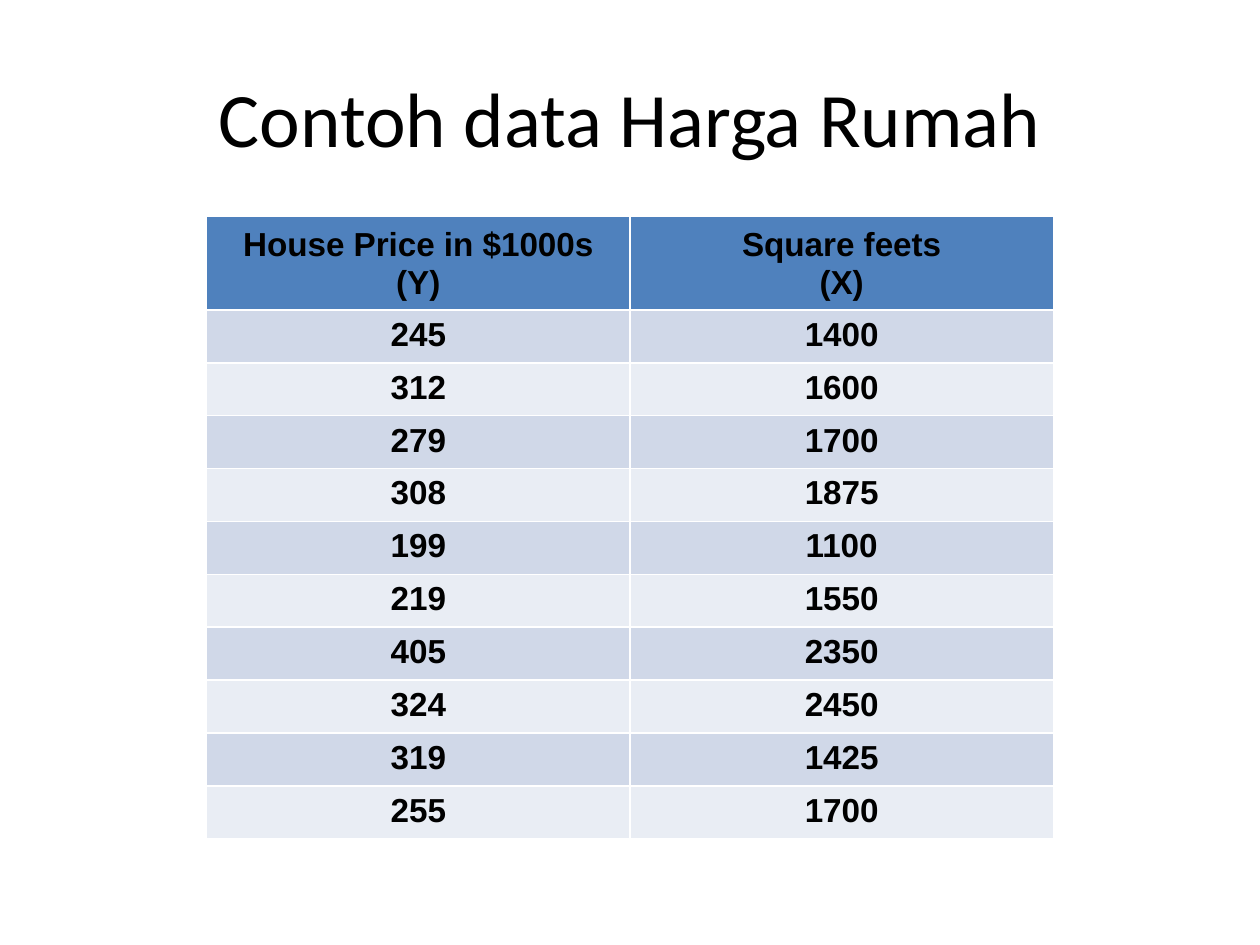
from typing import NamedTuple

from lxml import etree
from pptx import Presentation
from pptx.dml.color import RGBColor
from pptx.enum.text import MSO_ANCHOR, PP_ALIGN
from pptx.oxml.ns import qn
from pptx.util import Inches, Pt

CENTER = PP_ALIGN.CENTER
TOP, MIDDLE = MSO_ANCHOR.TOP, MSO_ANCHOR.MIDDLE

BLACK = RGBColor(0x00, 0x00, 0x00)
HEADER_BLUE = RGBColor(0x4F, 0x81, 0xBD)
BAND_DARK = RGBColor(0xD0, 0xD8, 0xE8)
BAND_LIGHT = RGBColor(0xE9, 0xED, 0xF4)

TITLE_ONLY = 5
HEADER_HEIGHT = 0.74
ROW_HEIGHT = 0.42
COLUMN_WIDTH = 3.36


class House(NamedTuple):
    price: int
    square_feet: int


HEADINGS = ("House Price in $1000s\n(Y)", "Square feets\n(X)")
HOUSES = (
    House(245, 1400),
    House(312, 1600),
    House(279, 1700),
    House(308, 1875),
    House(199, 1100),
    House(219, 1550),
    House(405, 2350),
    House(324, 2450),
    House(319, 1425),
    House(255, 1700),
)


def format_paragraph(paragraph, font_name: str, size: float, bold: bool) -> None:
    paragraph.alignment = CENTER
    for run in paragraph.runs:
        run.font.name = font_name
        run.font.size = Pt(size)
        run.font.bold = bold
        run.font.color.rgb = BLACK


def set_relative_space_before(paragraph, percent: int) -> None:
    """Set the space before as a percentage of the text size."""
    paragraph.space_before = Pt(0)
    space = paragraph._p.pPr.find(qn("a:spcBef"))
    space.clear()
    etree.SubElement(space, qn("a:spcPct")).set("val", str(percent * 1000))


def fill_cell(cell, text: str, color: RGBColor, anchor: MSO_ANCHOR) -> None:
    cell.fill.solid()
    cell.fill.fore_color.rgb = color
    cell.vertical_anchor = anchor
    cell.text_frame.text = text
    for index, paragraph in enumerate(cell.text_frame.paragraphs):
        format_paragraph(paragraph, "Arial", 19, True)
        if index > 0:
            paragraph.line_spacing = 0.8
        set_relative_space_before(paragraph, 20)


def add_title(slide, text: str) -> None:
    title = slide.shapes.title
    title.left, title.top = Inches(0.5), Inches(0.3)
    title.width, title.height = Inches(9), Inches(1.25)
    title.text_frame.text = text
    title.text_frame.vertical_anchor = MIDDLE
    format_paragraph(title.text_frame.paragraphs[0], "Calibri", 44, False)


def add_house_table(slide) -> None:
    height = HEADER_HEIGHT + ROW_HEIGHT * len(HOUSES)
    table = slide.shapes.add_table(
        len(HOUSES) + 1, len(HEADINGS), Inches(1.64), Inches(1.72),
        Inches(COLUMN_WIDTH * len(HEADINGS)), Inches(height),
    ).table
    for column in table.columns:
        column.width = Inches(COLUMN_WIDTH)

    # Header row
    table.rows[0].height = Inches(HEADER_HEIGHT)
    for column_index, heading in enumerate(HEADINGS):
        fill_cell(table.cell(0, column_index), heading, HEADER_BLUE, MIDDLE)

    # Data rows in alternating bands
    for row_index, house in enumerate(HOUSES, start=1):
        table.rows[row_index].height = Inches(ROW_HEIGHT)
        color = BAND_DARK if row_index % 2 else BAND_LIGHT
        for column_index, value in enumerate(house):
            fill_cell(table.cell(row_index, column_index), str(value), color, TOP)


def main() -> None:
    presentation = Presentation()
    presentation.slide_width = Inches(10)
    presentation.slide_height = Inches(7.5)
    slide = presentation.slides.add_slide(presentation.slide_layouts[TITLE_ONLY])
    add_title(slide, "Contoh data Harga Rumah")
    add_house_table(slide)
    presentation.save("out.pptx")


if __name__ == "__main__":
    main()
